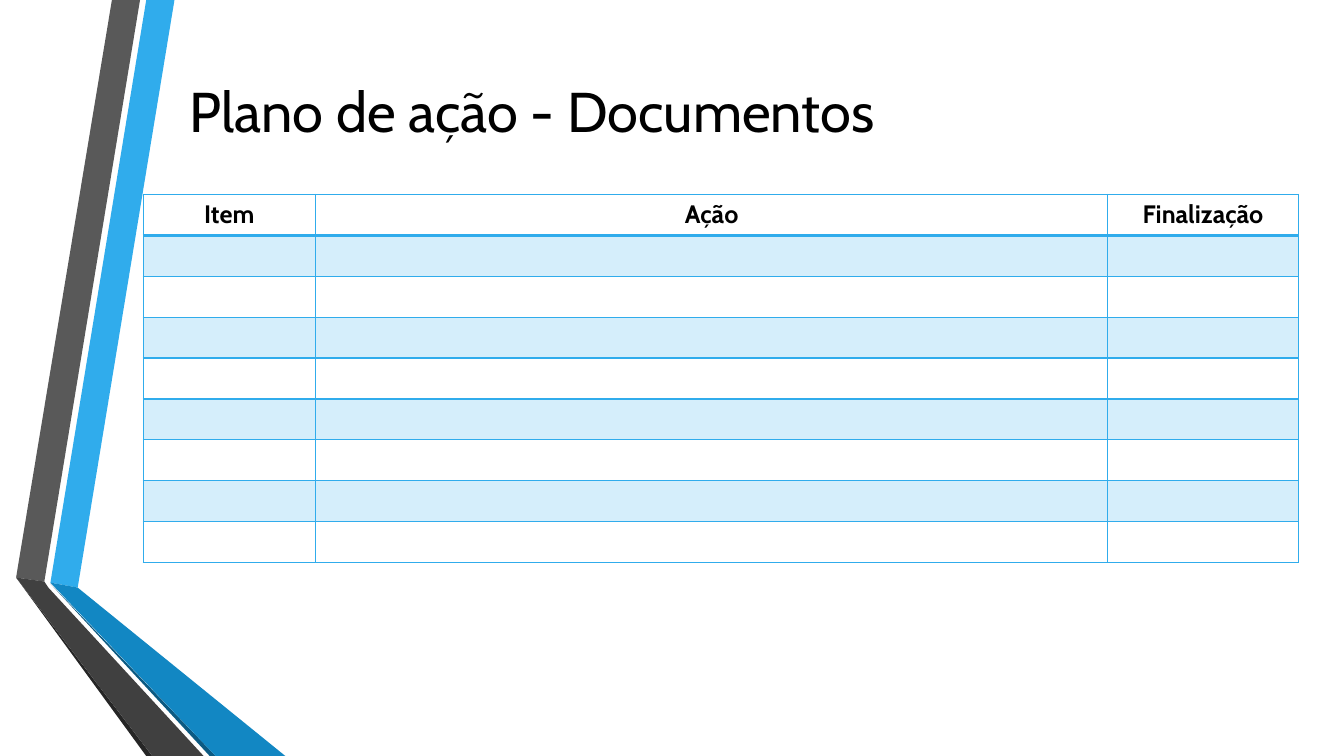
import pptx
import pptx.util
import pptx.dml.color
import pptx.enum.text
import pptx.oxml
import pptx.oxml.ns

RGBColor = pptx.dml.color.RGBColor
BLACK = RGBColor(0x00, 0x00, 0x00)
SKY = RGBColor(0x30, 0xAC, 0xEC)
BLUE = RGBColor(0x12, 0x87, 0xC3)
NAVY = RGBColor(0x0C, 0x5A, 0x82)
GREY = RGBColor(0x59, 0x59, 0x59)
CHARCOAL = RGBColor(0x40, 0x40, 0x40)
SOOT = RGBColor(0x26, 0x26, 0x26)

RIBBONS = [
    (SKY, [(3.75, 77.07), (5.78, 77.73), (12.98, 0), (10.88, 0)]),
    (GREY, [(10.42, 0), (8.33, 0), (1.2, 76.4), (3.3, 76.93)]),
    (SOOT, [(1.2, 76.4), (10.88, 100), (11.33, 100)]),
    (NAVY, [(3.75, 77.2), (15.6, 100), (16.05, 100)]),
    (BLUE, [(3.75, 77.07), (16.05, 100), (21.23, 100), (5.78, 77.73)]),
    (CHARCOAL, [(15.15, 100), (3.6, 77.73), (3.3, 76.93), (1.2, 76.4), (11.33, 100)]),
]
HEADINGS = ["Item", "Ação", "Finalização"]
COLUMN_WIDTHS = [12.83, 58.95, 14.17]
ROW_COUNT = 9
ROW_HEIGHT = 5.41


class PlanPage:
    """Draws on one slide, with every length a percentage of its size."""

    font = "Cabin"

    def __init__(self, deck):
        self.width, self.height = deck.slide_width, deck.slide_height
        self.page = deck.slides.add_slide(deck.slide_layouts[5])

    def across(self, share):
        return round(self.width * share / 100)

    def down(self, share):
        return round(self.height * share / 100)

    def label(self, frame, text, size, bold=False):
        frame.text = text
        para = frame.paragraphs[0]
        para.alignment = pptx.enum.text.PP_ALIGN.CENTER
        for span in para.runs:
            span.font.name = self.font
            span.font.size = pptx.util.Pt(size)
            span.font.bold = bold
            span.font.color.rgb = BLACK

    def title(self, text, left, top, width, height):
        box = self.page.shapes.title
        box.left, box.top = self.across(left), self.down(top)
        box.width, box.height = self.across(width), self.down(height)
        self.label(box.text_frame, text, 40)
        box.text_frame.vertical_anchor = pptx.enum.text.MSO_ANCHOR.MIDDLE

    def ribbon(self, color, corners):
        points = [(self.across(x), self.down(y)) for x, y in corners]
        builder = self.page.shapes.build_freeform(*points[0])
        builder.add_line_segments(points[1:], close=True)
        shape = builder.convert_to_shape()
        shape.shadow.inherit = False
        shape.fill.solid()
        shape.fill.fore_color.rgb = color
        shape.line.fill.background()

    def borders(self, cell, bottom):
        properties = cell._tc.get_or_add_tcPr()
        widths = {"lnL": 1, "lnR": 1, "lnT": 1, "lnB": bottom}
        for position, (side, points) in enumerate(widths.items()):
            properties.insert(position, pptx.oxml.parse_xml(
                f'<a:{side} {pptx.oxml.ns.nsdecls("a")} w="{pptx.util.Pt(points)}">'
                f'<a:solidFill><a:srgbClr val="{SKY}"/></a:solidFill></a:{side}>'))

    def tint(self, cell, percent):
        cell.fill.solid()
        cell.fill.fore_color.rgb = SKY
        color = cell._tc.tcPr.find(".//" + pptx.oxml.ns.qn("a:srgbClr"))
        color.append(pptx.oxml.parse_xml(
            f'<a:alpha {pptx.oxml.ns.nsdecls("a")} val="{percent * 1000}"/>'))

    def table(self, headings, widths, row_count, row_height, left, top):
        grid = self.page.shapes.add_table(
            row_count, len(headings), self.across(left), self.down(top),
            self.across(sum(widths)), self.down(row_height * row_count)).table
        grid.first_row = grid.horz_banding = False
        for column, width in zip(grid.columns, widths):
            column.width = self.across(width)
        for index, row in enumerate(grid.rows):
            row.height = self.down(row_height)
            for cell in row.cells:
                if index % 2:
                    self.tint(cell, 20)
                else:
                    cell.fill.background()
                self.borders(cell, bottom=1 if index else 2)
        for cell, heading in zip(grid.rows[0].cells, headings):
            self.label(cell.text_frame, heading, 18, bold=True)


def main():
    deck = pptx.Presentation()
    deck.slide_width = pptx.util.Inches(13.33)
    deck.slide_height = pptx.util.Inches(7.5)
    plan = PlanPage(deck)
    for color, corners in RIBBONS:
        plan.ribbon(color, corners)
    plan.title("Plano de ação - Documentos", 4.58, 3.6, 70, 22)
    plan.table(HEADINGS, COLUMN_WIDTHS, ROW_COUNT, ROW_HEIGHT, 10.65, 25.73)
    deck.save("out.pptx")


if __name__ == "__main__":
    main()
